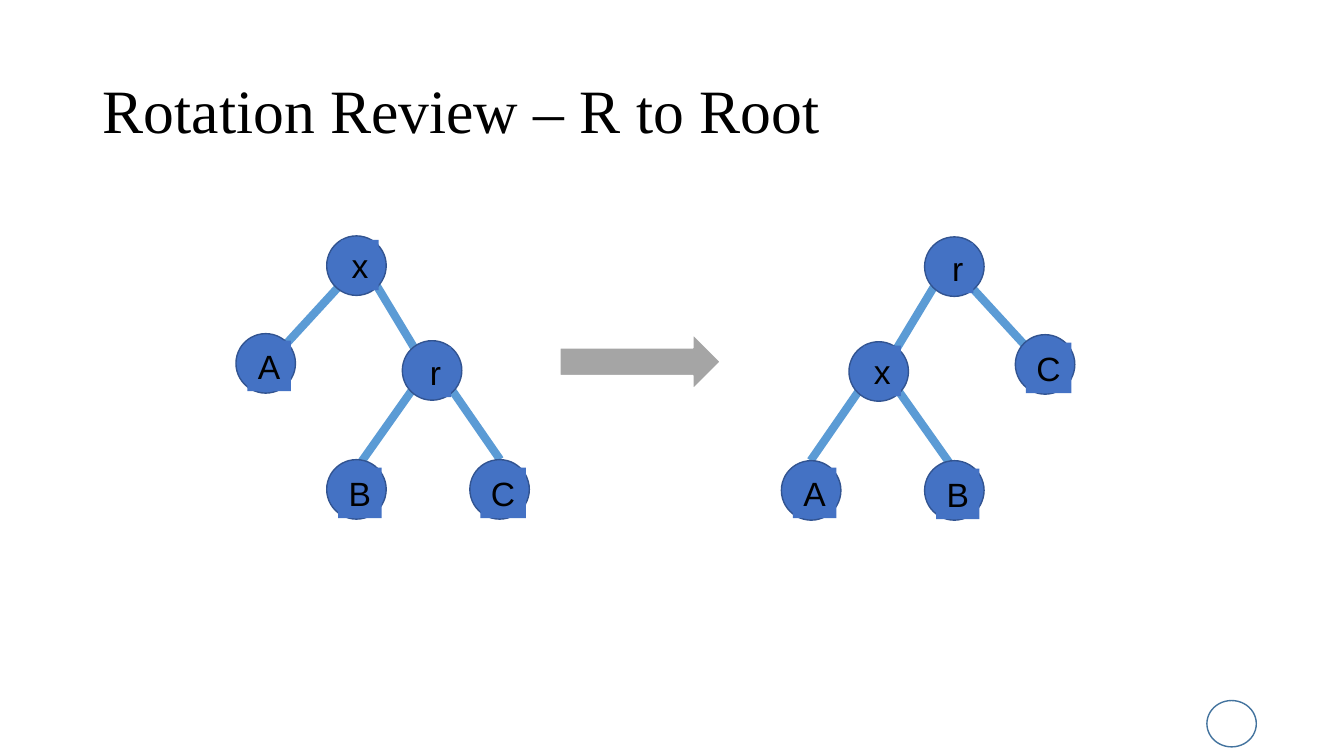
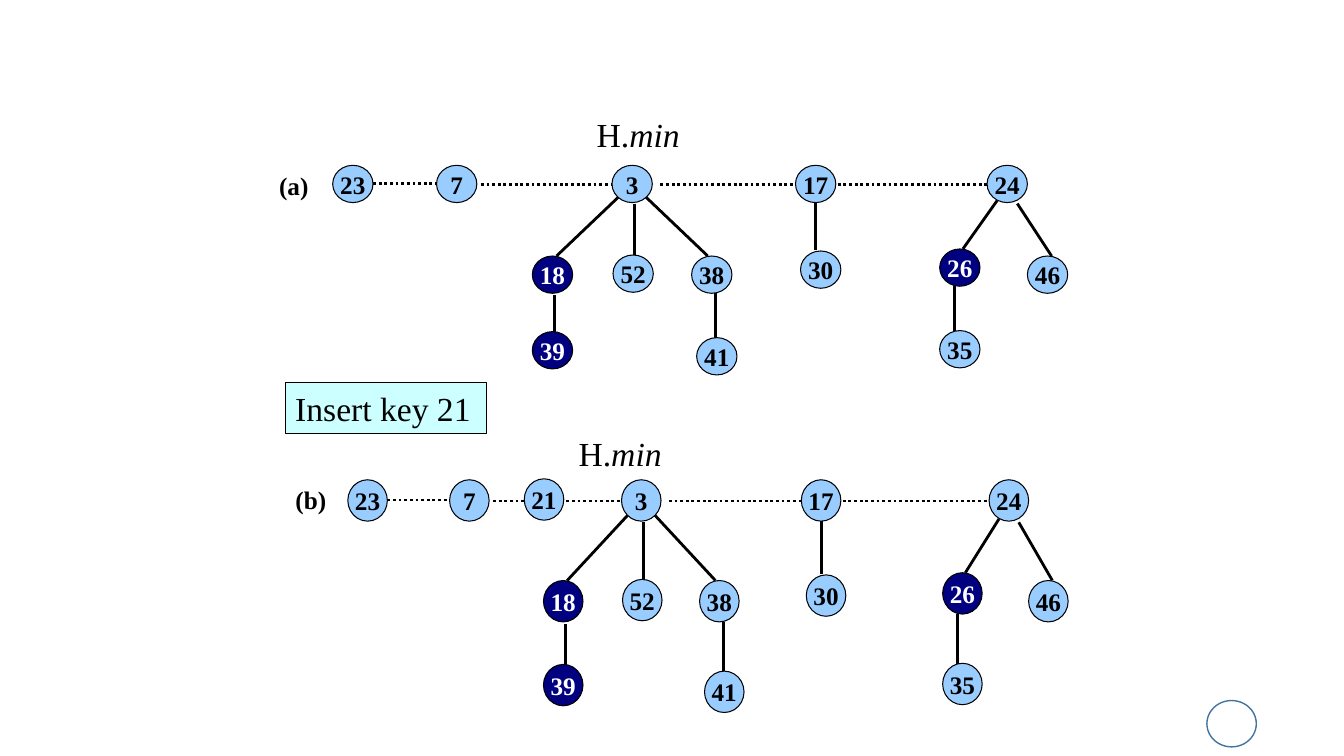
"""Builds two slides on tree rotation and on inserting a key into a Fibonacci heap."""
from lxml.etree import SubElement
from pptx import Presentation
from pptx.dml.color import RGBColor
from pptx.enum.dml import MSO_LINE
from pptx.enum.shapes import MSO_CONNECTOR, MSO_SHAPE
from pptx.enum.text import MSO_ANCHOR, PP_ALIGN
from pptx.oxml.ns import qn
from pptx.util import Inches, Pt

COLORS = {
    "black": "000000", "white": "FFFFFF", "ring": "43739E",
    "tree_node": "4472C4", "tree_outline": "325491", "tree_edge": "5B9BD5",
    "arrow": "A5A5A5", "heap_node": "99CCFF", "marked": "000080", "note": "CCFFFF",
}
SERIF, SANS = "Times New Roman", "Arial"


def add_figure(shapes, kind, box, fill=None, outline=None, weight=1.0, text="",
               font=SERIF, size=18, bold=False, ink="black", align=PP_ALIGN.CENTER):
    figure = shapes.add_shape(kind, *map(Inches, box))
    figure.shadow.inherit = False
    for part, color in ((figure.fill, fill), (figure.line.fill, outline)):
        if color:
            part.solid()
            part.fore_color.rgb = RGBColor.from_string(COLORS[color])
        else:
            part.background()
    if outline:
        figure.line.width = Pt(weight)
    if text:
        frame = figure.text_frame
        frame.word_wrap = False
        frame.vertical_anchor = MSO_ANCHOR.MIDDLE
        paragraph = frame.paragraphs[0]
        paragraph.text = text
        paragraph.alignment = align
        paragraph.font.name = font
        paragraph.font.size = Pt(size)
        paragraph.font.bold = bold
        paragraph.font.color.rgb = RGBColor.from_string(COLORS[ink])
    return figure


def add_edge(shapes, start, end, color, weight, dash=None):
    edge = shapes.add_connector(MSO_CONNECTOR.STRAIGHT, *map(Inches, (*start, *end)))
    edge.line.color.rgb = RGBColor.from_string(COLORS[color])
    edge.line.width = Pt(weight)
    if dash:
        edge.line.dash_style = dash
    SubElement(edge.element.spPr, qn("a:effectLst"))


prs = Presentation()
prs.slide_width, prs.slide_height = Inches(13.33), Inches(7.5)
title_only, blank = prs.slide_layouts[5], prs.slide_layouts[6]

rotation = prs.slides.add_slide(title_only)
ring = add_figure(rotation.shapes, MSO_SHAPE.OVAL, (11.97, 6.95, 0.49, 0.46), outline="ring")
prs.slide_master.placeholders[0].element.getparent().append(ring.element)

title = rotation.shapes.title
title.left, title.top, title.width, title.height = map(Inches, (0.92, 0.4, 11.5, 1.45))
title.text_frame.vertical_anchor = MSO_ANCHOR.MIDDLE
heading = title.text_frame.paragraphs[0]
heading.text = "Rotation Review – R to Root"
heading.alignment = PP_ALIGN.LEFT
heading.line_spacing = 0.9
heading.font.name = SERIF
heading.font.size = Pt(44)
heading.font.color.rgb = RGBColor.from_string(COLORS["black"])

DIAMETER, MIRROR_SUM = 0.59, 13.0
LETTER_BOXES = {"A": (0.43, 0.07), "B": (0.43, 0.08), "C": (0.45, 0.08),
                "x": (0.37, 0.04), "r": (0.31, 0.06)}
tree_spots = [(2.34, 3.31), (3.24, 2.34), (3.99, 3.38), (3.24, 4.56), (4.66, 4.56)]
tree_edges = [((3.51, 2.68), (2.62, 3.65)), ((4.96, 4.56), (4.49, 3.88)),
              ((4.12, 3.47), (3.74, 2.84)), ((3.55, 4.63), (4.08, 3.88))]

for letters, mirrored in (("AxrBC", False), ("CrxBA", True)):
    tree = rotation.shapes.add_group_shape().shapes
    drop = 0.01 if mirrored else 0
    for edge_ends in tree_edges:
        start, end = [(MIRROR_SUM - x if mirrored else x, y + drop) for x, y in edge_ends]
        add_edge(tree, start, end, "tree_edge", 5.83)
    for letter, (x, y) in zip(letters, tree_spots):
        left = MIRROR_SUM - DIAMETER - x if mirrored else x
        top = y + drop
        add_figure(tree, MSO_SHAPE.OVAL, (left, top, DIAMETER, DIAMETER),
                   "tree_node", "tree_outline")
        width, inset = LETTER_BOXES[letter]
        add_figure(tree, MSO_SHAPE.RECTANGLE,
                   (left + 0.33 - width / 2, top + inset, width, 0.5),
                   "tree_node", text=letter, font=SANS, size=24)

add_figure(rotation.shapes, MSO_SHAPE.RIGHT_ARROW, (5.55, 3.31, 1.6, 0.56),
           "arrow", "white", 1.5)

insertion = prs.slides.add_slide(blank)
for empty in list(insertion.placeholders):
    empty.element.getparent().remove(empty.element)

heap_nodes = {
    23: (3.3, 1.64), 7: (4.33, 1.64), 3: (6.07, 1.64), 17: (7.89, 1.64), 24: (9.79, 1.64),
    18: (5.28, 2.54), 52: (6.08, 2.53), 38: (6.86, 2.54), 30: (7.94, 2.49),
    26: (9.32, 2.47), 46: (10.19, 2.54), 39: (5.28, 3.29), 41: (6.91, 3.35), 35: (9.32, 3.28),
}
marked_keys = {18, 26, 39}
root_links = [((3.7, 1.82), (4.33, 1.82)), ((4.77, 1.83), (6.07, 1.83)),
              ((6.55, 1.83), (7.89, 1.83)), ((8.31, 1.83), (9.79, 1.83))]
child_links = [((6.15, 1.94), (5.52, 2.54)), ((6.29, 2.02), (6.29, 2.54)),
               ((6.39, 1.94), (7.02, 2.54)), ((5.5, 2.93), (5.5, 3.3)),
               ((7.1, 2.91), (7.1, 3.36)), ((8.09, 2), (8.09, 2.48)),
               ((9.89, 1.99), (9.55, 2.47)), ((10.09, 2.02), (10.43, 2.54)),
               ((9.47, 2.84), (9.47, 3.29))]
ORIGIN_X, ORIGIN_Y = 3.3, 1.64

for caption, left, top, x_scale, y_scale, min_spot, new_key in (
        ("(a)", 3.3, 1.64, 1, 1, (5.82, 1.08), None),
        ("(b)", 3.45, 4.76, 0.98, 1.11, (5.64, 4.25), (21, 5.2, 4.75))):
    heap = insertion.shapes.add_group_shape().shapes
    node_size = (0.4 * x_scale, 0.37 * y_scale)
    nodes = [(key, left + (x - ORIGIN_X) * x_scale, top + (y - ORIGIN_Y) * y_scale)
             for key, (x, y) in heap_nodes.items()]
    for links, dash in ((root_links, MSO_LINE.ROUND_DOT), (child_links, None)):
        for link in links:
            start, end = [(left + (x - ORIGIN_X) * x_scale, top + (y - ORIGIN_Y) * y_scale)
                          for x, y in link]
            add_edge(heap, start, end, "black", 2, dash)
    for key, x, y in nodes + ([new_key] if new_key else []):
        fill, ink = ("marked", "white") if key in marked_keys else ("heap_node", "black")
        add_figure(heap, MSO_SHAPE.OVAL, (x, y, *node_size), fill, "black", 0.75,
                   text=str(key), bold=True, ink=ink)

    for spot, size, bold, pieces in (
            ((left - 0.63 * x_scale, top, 0.6, 0.4), 18, True, [(caption, False)]),
            ((*min_spot, 1.1, 0.5), 24, False, [("H.", False), ("min", True)])):
        label = heap.add_textbox(*map(Inches, spot))
        label.text_frame.word_wrap = True
        paragraph = label.text_frame.paragraphs[0]
        paragraph.alignment = PP_ALIGN.LEFT
        paragraph.font.name = SERIF
        paragraph.font.size = Pt(size)
        paragraph.font.bold = bold
        paragraph.font.color.rgb = RGBColor.from_string(COLORS["black"])
        for piece, italic in pieces:
            run = paragraph.add_run()
            run.text = piece
            run.font.italic = italic

note = add_figure(insertion.shapes, MSO_SHAPE.RECTANGLE, (2.83, 3.79, 2, 0.51), "note", "black",
                  0.75, text="Insert key 21", size=24, align=PP_ALIGN.LEFT)
note.text_frame.word_wrap = True

prs.save("out.pptx")
